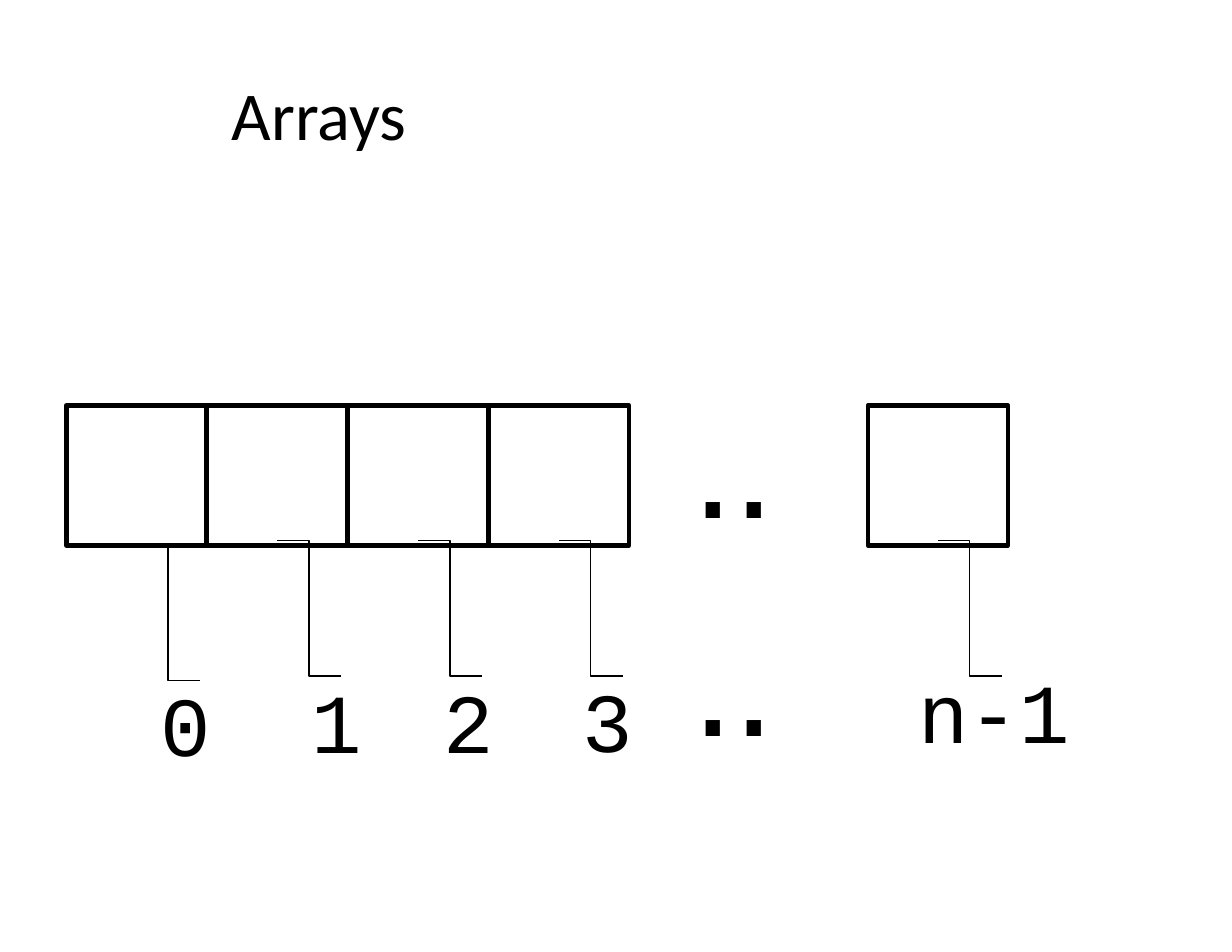
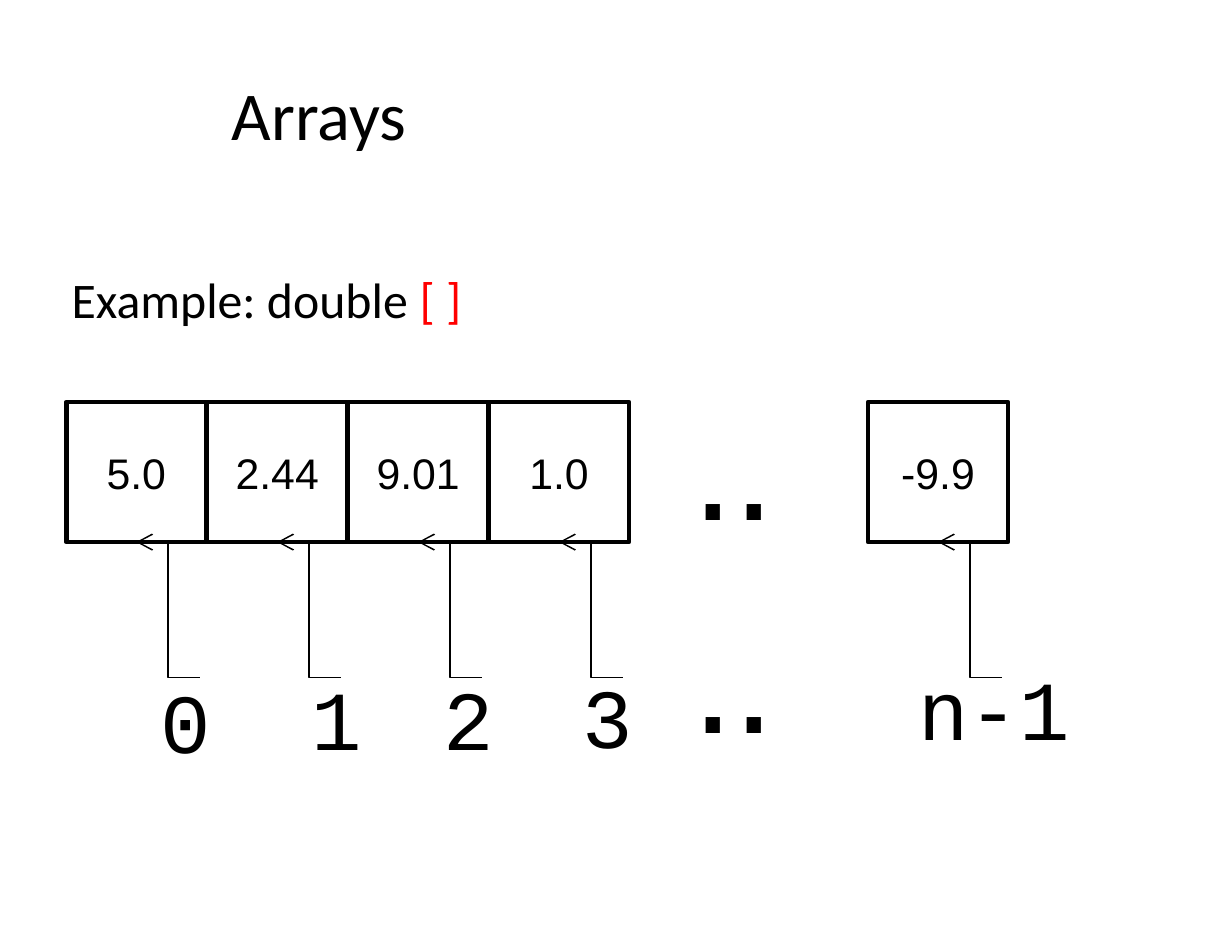
from dataclasses import dataclass

from lxml import etree
from pptx import Presentation
from pptx.dml.color import RGBColor
from pptx.enum.shapes import MSO_CONNECTOR, MSO_SHAPE
from pptx.enum.text import MSO_ANCHOR, PP_ALIGN
from pptx.oxml.ns import qn
from pptx.util import Pt

ELBOW = MSO_CONNECTOR.ELBOW
RECTANGLE = MSO_SHAPE.RECTANGLE
MIDDLE = MSO_ANCHOR.MIDDLE
CENTER = PP_ALIGN.CENTER

COLORS = {"ink": "000000", "bracket": "FF0000"}
HEADING_FONT = "Calibri"
VALUE_FONT = "Arial"
INDEX_FONT = "Courier New"

CELL_SIZE = 90
CELL_PITCH = 90.6
FIRST_CELL_LEFT = 42.6
LAST_CELL_LEFT = 558
CELL_LEFTS = [FIRST_CELL_LEFT + i * CELL_PITCH for i in range(4)] + [LAST_CELL_LEFT]
POINTER_WIDTH = 41
POINTER_HEIGHT = 87


@dataclass(frozen=True)
class Box:
    left: float
    top: float
    width: float
    height: float


@dataclass(frozen=True)
class Span:
    text: str
    font: str
    size: float
    color: str = "ink"


@dataclass(frozen=True)
class IndexLabel:
    text: str
    left: float
    drop: float
    width: float = 36


@dataclass(frozen=True)
class ArrayRow:
    top: float
    values: tuple[str, ...]
    pointer_drops: tuple[float, ...]
    pointer_weight: float
    arrowheads: bool
    dots_top: float
    dots_gap: float


INDEX_LABELS = (
    IndexLabel("0", 103.5, 172),
    IndexLabel("1", 200, 170),
    IndexLabel("2", 285, 170),
    IndexLabel("3", 374.2, 169),
    IndexLabel("n-1", 590.4, 163.5, 100),
)
EMPTY_ARRAY = ArrayRow(260.6, ("",) * 5, (90, 87, 87, 87, 87), 0.75, False, 237.6, 24.6)
DOUBLE_ARRAY = ArrayRow(
    258.5, ("5.0", "2.44", "9.01", "1.0", "-9.9"), (90,) * 5, 1, True, 238.3, 22.2
)


def ink(name: str) -> RGBColor:
    return RGBColor.from_string(COLORS[name])


def clear_margins(frame) -> None:
    frame.margin_left = frame.margin_right = Pt(0)
    frame.margin_top = frame.margin_bottom = Pt(0)


def add_span(paragraph, span: Span) -> None:
    run = paragraph.add_run()
    run.text = span.text
    run.font.name = span.font
    run.font.size = Pt(span.size)
    run.font.color.rgb = ink(span.color)


def add_text(slide, box: Box, *lines: tuple[Span, ...]):
    frame = slide.shapes.add_textbox(
        Pt(box.left), Pt(box.top), Pt(box.width), Pt(box.height)
    ).text_frame
    frame.word_wrap = True
    clear_margins(frame)
    for number, line in enumerate(lines):
        paragraph = frame.add_paragraph() if number else frame.paragraphs[0]
        for span in line:
            add_span(paragraph, span)
    return frame


def add_title(slide) -> None:
    title = add_text(
        slide, Box(149, 52.6, 494, 56), (Span("Arrays", HEADING_FONT, 44),)
    )
    title.paragraphs[0].line_spacing = 0.9


def add_cell(slide, left: float, top: float, value: str) -> None:
    cell = slide.shapes.add_shape(
        RECTANGLE, Pt(left), Pt(top), Pt(CELL_SIZE), Pt(CELL_SIZE)
    )
    cell.shadow.inherit = False
    cell.fill.background()
    cell.line.color.rgb = ink("ink")
    cell.line.width = Pt(2.89)
    if value:
        frame = cell.text_frame
        clear_margins(frame)
        frame.vertical_anchor = MIDDLE
        frame.paragraphs[0].alignment = CENTER
        add_span(frame.paragraphs[0], Span(value, VALUE_FONT, 27.5))


def add_pointer(slide, left: float, top: float, row: ArrayRow) -> None:
    pointer = slide.shapes.add_connector(
        ELBOW, Pt(left + POINTER_WIDTH), Pt(top + POINTER_HEIGHT), Pt(left), Pt(top)
    )
    pointer.line.color.rgb = ink("ink")
    pointer.line.width = Pt(row.pointer_weight)
    if row.arrowheads:
        etree.SubElement(
            pointer.line._get_or_add_ln(), qn("a:tailEnd"), type="arrow", w="lg", len="lg"
        )
    etree.SubElement(pointer._element.spPr, qn("a:effectLst"))


def add_array(slide, row: ArrayRow) -> None:
    for left, value in zip(CELL_LEFTS, row.values):
        add_cell(slide, left, row.top, value)
    for left, drop in zip(CELL_LEFTS, row.pointer_drops):
        add_pointer(slide, left + CELL_SIZE / 2, row.top + drop, row)
    ellipsis = (Span("..", VALUE_FONT, 96),)
    dots = add_text(slide, Box(445, row.dots_top, 56, 259), ellipsis, ellipsis)
    dots.paragraphs[1].space_before = Pt(row.dots_gap)
    for label in INDEX_LABELS:
        add_text(
            slide,
            Box(label.left, row.top + label.drop, label.width, 76),
            (Span(label.text, INDEX_FONT, 54),),
        )


def add_example(slide) -> None:
    add_text(
        slide,
        Box(46, 172.5, 412, 59),
        (
            Span("Example: double ", HEADING_FONT, 32),
            Span("[ ]", HEADING_FONT, 32, "bracket"),
        ),
    )


def main() -> None:
    deck = Presentation()
    deck.slide_width, deck.slide_height = Pt(792), Pt(612)
    blank = deck.slide_layouts[6]

    for row in (EMPTY_ARRAY, DOUBLE_ARRAY):
        slide = deck.slides.add_slide(blank)
        add_title(slide)
        add_array(slide, row)
        if row is DOUBLE_ARRAY:
            add_example(slide)

    deck.save("out.pptx")


main()
